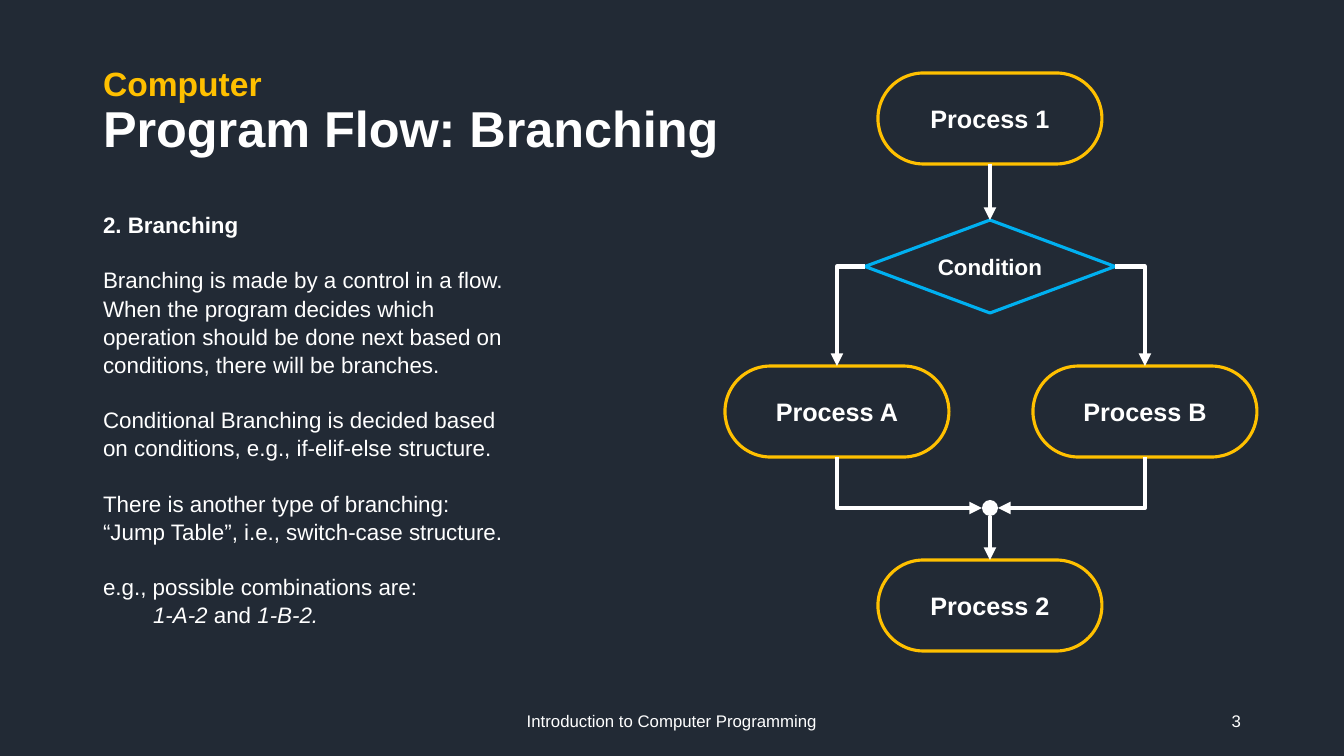
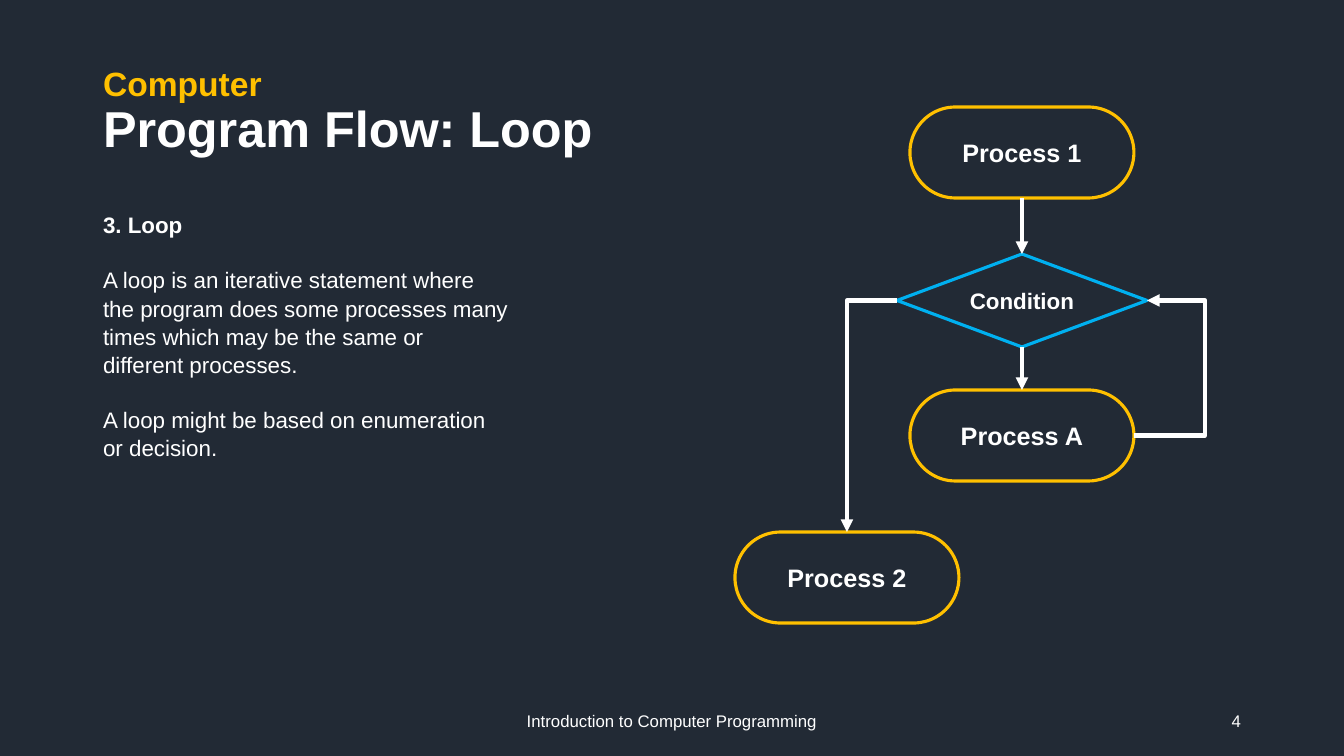
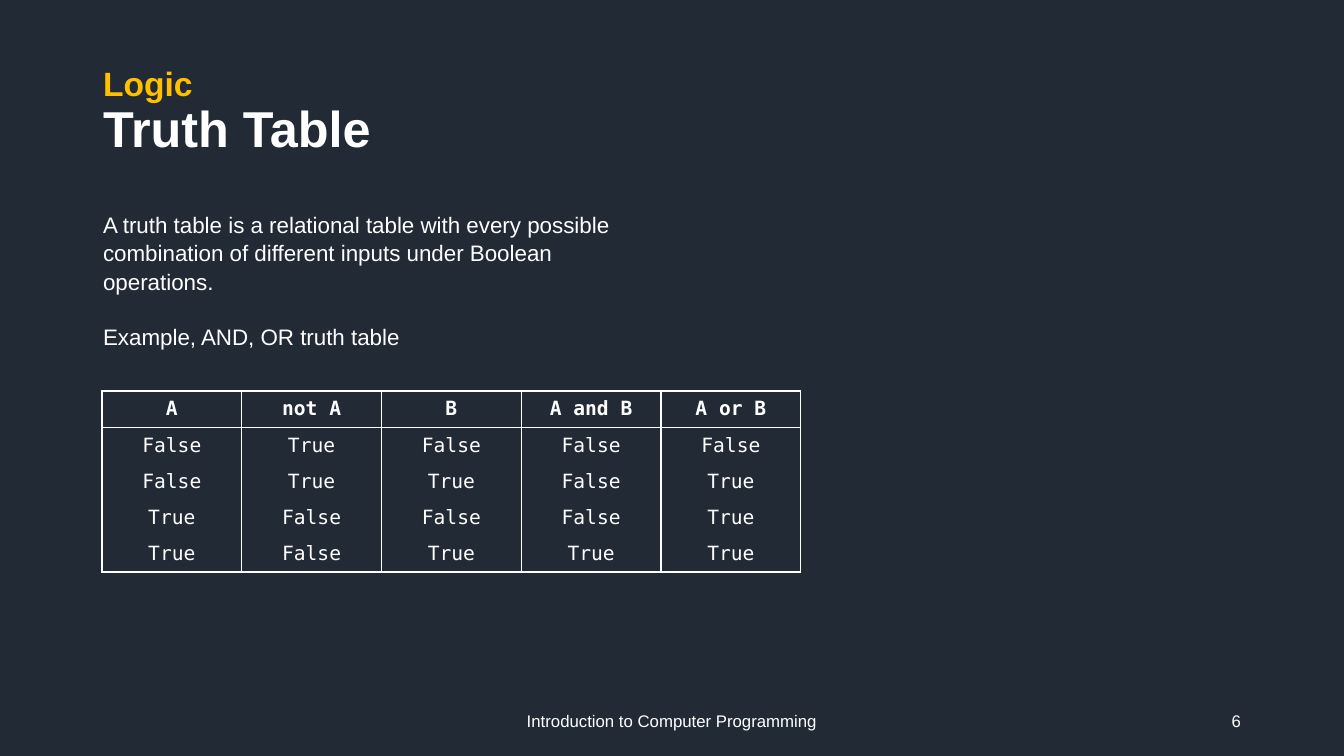
from dataclasses import dataclass

from copy import deepcopy
from lxml import etree
from pptx import Presentation
from pptx import util as u
from pptx.dml.color import RGBColor
from pptx.enum import shapes, text
from pptx.oxml import ns

W, H = 1344, 756
SCALE = u.Inches(13.3333) / W


@dataclass(frozen=True)
class Theme:
    bg: str = "222A35"
    ink: str = "FFFFFF"
    accent: str = "FFC000"
    decision: str = "00B0F0"
    font: str = "Arial"
    mono: str = "DejaVu Sans Mono"
    kicker: int = 24
    title: int = 36
    node: int = 18
    body: int = 16
    cell: int = 14
    footer: int = 12


T = Theme()
NODE_W, NODE_H = 224, 91
COND_W, COND_H = 250, 93
ARROW = 56
TITLE_BOX = (93, 40, 1159, 146)
FOOTER = "Introduction to Computer Programming"
FOOTER_BOX = (445, 701, 454, 40)
NUMBER_BOX = (949, 701, 302, 40)
TOP, LEFT, BOTTOM, RIGHT = range(4)


def px(*values):
    return [u.Emu(round(v * SCALE)) for v in values]


def rgb(color):
    return RGBColor.from_string(color)


def assign(obj, values):
    for name, value in values.items():
        setattr(obj, name, value)


def add_run(p, words, size, color=T.ink, name=T.font, **fmt):
    r = p.add_run()
    r.text = words
    assign(r.font, dict(name=name, size=u.Pt(size), **fmt))
    r.font.color.rgb = rgb(color)
    return r


def place(sp, box):
    assign(sp, dict(zip(("left", "top", "width", "height"), px(*box))))


def add_title(s, kicker, title):
    sp = s.shapes.title
    place(sp, TITLE_BOX)
    tf = sp.text_frame
    assign(tf, dict(vertical_anchor=text.MSO_ANCHOR.MIDDLE, word_wrap=True,
                    auto_size=text.MSO_AUTO_SIZE.NONE))
    p = tf.paragraphs[0]
    assign(p, dict(alignment=text.PP_ALIGN.LEFT, line_spacing=0.9))
    r = add_run(p, kicker, T.kicker, T.accent, bold=True)
    p.add_line_break()
    p._p[-1].append(deepcopy(r._r.rPr))
    add_run(p, title, T.title, bold=True)


def add_body(s, box, groups):
    sp = s.placeholders[1]
    place(sp, box)
    tf = sp.text_frame
    assign(tf, dict(vertical_anchor=text.MSO_ANCHOR.TOP, word_wrap=True,
                    auto_size=text.MSO_AUTO_SIZE.NONE))
    p = tf.paragraphs[0]
    for g, lines in enumerate(groups):
        for n, (indent, runs) in enumerate(lines):
            if g or n:
                p = tf.add_paragraph()
            gap = 19.3 if g and not n else 0
            assign(p, dict(space_before=u.Pt(gap), space_after=u.Pt(0),
                           line_spacing=1.05, alignment=text.PP_ALIGN.LEFT))
            pPr = p._p.get_or_add_pPr()
            pPr.set("marL", str(px(indent)[0]))
            pPr.set("indent", "0")
            etree.SubElement(pPr, ns.qn("a:buNone"))
            for words, fmt in runs:
                add_run(p, words, T.body, **fmt)


def line(words, **fmt):
    return 0, [(words, fmt)]


def add_label(s, box, words, align):
    tf = s.shapes.add_textbox(*px(*box)).text_frame
    assign(tf, dict(word_wrap=True, vertical_anchor=text.MSO_ANCHOR.MIDDLE))
    p = tf.paragraphs[0]
    p.alignment = align
    add_run(p, words, T.footer)


def add_node(s, kind, box, words, color, size):
    sp = s.shapes.add_shape(kind, *px(*box))
    sp.shadow.inherit = False
    sp.fill.background()
    sp.line.color.rgb = rgb(color)
    sp.line.width = u.Pt(2.25)
    tf = sp.text_frame
    assign(tf, dict(word_wrap=True, vertical_anchor=text.MSO_ANCHOR.MIDDLE,
                    margin_left=0, margin_right=0))
    p = tf.paragraphs[0]
    p.alignment = text.PP_ALIGN.CENTER
    add_run(p, words, size, bold=True)
    return sp


def add_process(s, cx, y, words):
    box = (cx - NODE_W / 2, y, NODE_W, NODE_H)
    sp = add_node(s, shapes.MSO_SHAPE.ROUNDED_RECTANGLE, box, words, T.accent, T.node)
    sp.adjustments[0] = 0.5
    return sp


def add_condition(s, cx, y):
    box = (cx - COND_W / 2, y, COND_W, COND_H)
    return add_node(s, shapes.MSO_SHAPE.DIAMOND, box, "Condition", T.decision, T.body)


def side(sp, site):
    cx, cy = sp.left + sp.width // 2, sp.top + sp.height // 2
    return ((cx, sp.top), (sp.left, cy), (cx, sp.top + sp.height),
            (sp.left + sp.width, cy))[site]


def add_arrow(s, start, end, prst="line", reach=None, arrow="tailEnd"):
    bent = prst != "line"
    kind = shapes.MSO_CONNECTOR.ELBOW if bent else shapes.MSO_CONNECTOR.STRAIGHT
    (x1, y1), (x2, y2) = side(*start), side(*end)
    c = s.shapes.add_connector(kind, x1, y1, x2, y2)
    c.line.color.rgb = rgb(T.ink)
    c.line.width = u.Pt(3)
    etree.SubElement(c.line._get_or_add_ln(), ns.qn("a:" + arrow), type="triangle")
    spPr = c._element.spPr
    etree.SubElement(spPr, ns.qn("a:effectLst"))
    geom = spPr.find(ns.qn("a:prstGeom"))
    geom.set("prst", prst)
    if reach:
        ratio = round(px(reach)[0] / (x2 - x1) * 100000)
        etree.SubElement(geom.find(ns.qn("a:avLst")), ns.qn("a:gd"),
                         name="adj1", fmla=f"val {ratio}")
    for join, (sp, site) in ((c.begin_connect, start), (c.end_connect, end)):
        if not bent and sp.auto_shape_type != shapes.MSO_SHAPE.OVAL:
            join(sp, site)


def add_junction(s, cx, cy, d):
    sp = s.shapes.add_shape(shapes.MSO_SHAPE.OVAL, *px(cx - d / 2, cy - d / 2, d, d))
    sp.shadow.inherit = False
    sp.fill.solid()
    sp.fill.fore_color.rgb = rgb(T.ink)
    sp.line.fill.background()
    return sp


def branching_flow(s, box):
    x, y, w, h = box
    cx = x + 265
    cond_y = y + NODE_H + ARROW
    first = add_process(s, cx, y, "Process 1")
    cond = add_condition(s, cx, cond_y)
    last = add_process(s, cx, y + h - NODE_H, "Process 2")
    dot = add_junction(s, cx, y + 435, 16)
    branches = ((x + NODE_W / 2, "Process A", LEFT),
                (x + w - NODE_W / 2, "Process B", RIGHT))
    add_arrow(s, (first, BOTTOM), (cond, TOP))
    for branch_x, words, out in branches:
        branch = add_process(s, branch_x, cond_y + COND_H + 53, words)
        add_arrow(s, (cond, out), (branch, TOP), "bentConnector2")
        add_arrow(s, (dot, out), (branch, BOTTOM), "bentConnector2", arrow="headEnd")
    add_arrow(s, (dot, BOTTOM), (last, TOP))


def loop_flow(s, box):
    x, y, w, h = box
    cx = x + 287
    cond_y = y + NODE_H + ARROW
    first = add_process(s, cx, y, "Process 1")
    cond = add_condition(s, cx, cond_y)
    step = add_process(s, cx, cond_y + COND_H + 43, "Process A")
    last = add_process(s, x + NODE_W / 2, y + h - NODE_H, "Process 2")
    add_arrow(s, (first, BOTTOM), (cond, TOP))
    add_arrow(s, (cond, BOTTOM), (step, TOP))
    add_arrow(s, (step, RIGHT), (cond, RIGHT), "bentConnector3",
              reach=x + w - cx - NODE_W / 2)
    add_arrow(s, (cond, LEFT), (last, TOP), "bentConnector2")


def set_borders(cell, sides):
    tcPr = cell._tc.get_or_add_tcPr()
    for edge in "LRTB":
        ln = etree.SubElement(tcPr, ns.qn("a:ln" + edge), w=str(u.Pt(1)))
        if edge in sides:
            fill = etree.SubElement(ln, ns.qn("a:solidFill"))
            etree.SubElement(fill, ns.qn("a:srgbClr"), val=T.ink)
        else:
            etree.SubElement(ln, ns.qn("a:noFill"))


def truth_table(s, box):
    header = ["A", "not A", "B", "A and B", "A or B"]
    cases = [(a, not a, b, a and b, a or b)
             for a in (False, True) for b in (False, True)]
    rows = [header, *cases]
    tbl = s.shapes.add_table(len(rows), len(header), *px(*box)).table
    assign(tbl, dict(first_row=False, horz_banding=False))
    mx, my = px(14, 6)
    for i, row in enumerate(rows):
        sides = "LR" + "T" * (i < 2) + "B" * (i in (0, len(rows) - 1))
        for j, value in enumerate(row):
            cell = tbl.cell(i, j)
            assign(cell, dict(margin_left=mx, margin_right=mx, margin_top=my,
                              margin_bottom=my,
                              vertical_anchor=text.MSO_ANCHOR.MIDDLE))
            set_borders(cell, sides)
            cell.fill.background()
            p = cell.text_frame.paragraphs[0]
            p.alignment = text.PP_ALIGN.CENTER
            add_run(p, str(value), T.cell, name=T.mono, bold=i == 0)


BRANCHING = [
    [line("2. Branching", bold=True)],
    [line("Branching is made by a control in a flow. When the program decides which "
          "operation should be done next based on conditions, there will be branches.")],
    [line("Conditional Branching is decided based on conditions, e.g., "
          "if-elif-else structure.")],
    [line("There is another type of branching:"),
     line("“Jump Table”, i.e., switch-case structure.")],
    [line("e.g., possible combinations are:"),
     (50, [("1-A-2 ", dict(italic=True)), ("and", {}), (" 1-B-2.", dict(italic=True))])],
]
LOOP = [
    [line("3. Loop", bold=True)],
    [line("A loop is an iterative statement where the program does some processes many "
          "times which may be the same or different processes.")],
    [line("A loop might be based on enumeration or decision.")],
]
TRUTH = [
    [line("A truth table is a relational table with every possible combination of "
          "different inputs under Boolean operations.")],
    [line("Example, AND, OR truth table")],
]
SLIDES = [
    (3, "Computer", "Program Flow: Branching", BRANCHING, (93, 205, 427, 417),
     branching_flow, (725, 73, 532, 578)),
    (4, "Computer", "Program Flow: Loop", LOOP, (93, 205, 427, 254),
     loop_flow, (735, 107, 470, 516)),
    (6, "Logic", "Truth Table", TRUTH, (93, 205, 528, 146),
     truth_table, (102, 391, 699, 181)),
]


def main():
    prs = Presentation()
    prs.slide_width, prs.slide_height = px(W, H)
    fill = prs.slide_master.background.fill
    fill.solid()
    fill.fore_color.rgb = rgb(T.bg)
    for number, kicker, title, body, body_box, draw, box in SLIDES:
        s = prs.slides.add_slide(prs.slide_layouts[1])
        add_title(s, kicker, title)
        add_label(s, FOOTER_BOX, FOOTER, text.PP_ALIGN.CENTER)
        add_label(s, NUMBER_BOX, str(number), text.PP_ALIGN.RIGHT)
        add_body(s, body_box, body)
        draw(s, box)
    prs.save("out.pptx")


if __name__ == "__main__":
    main()
